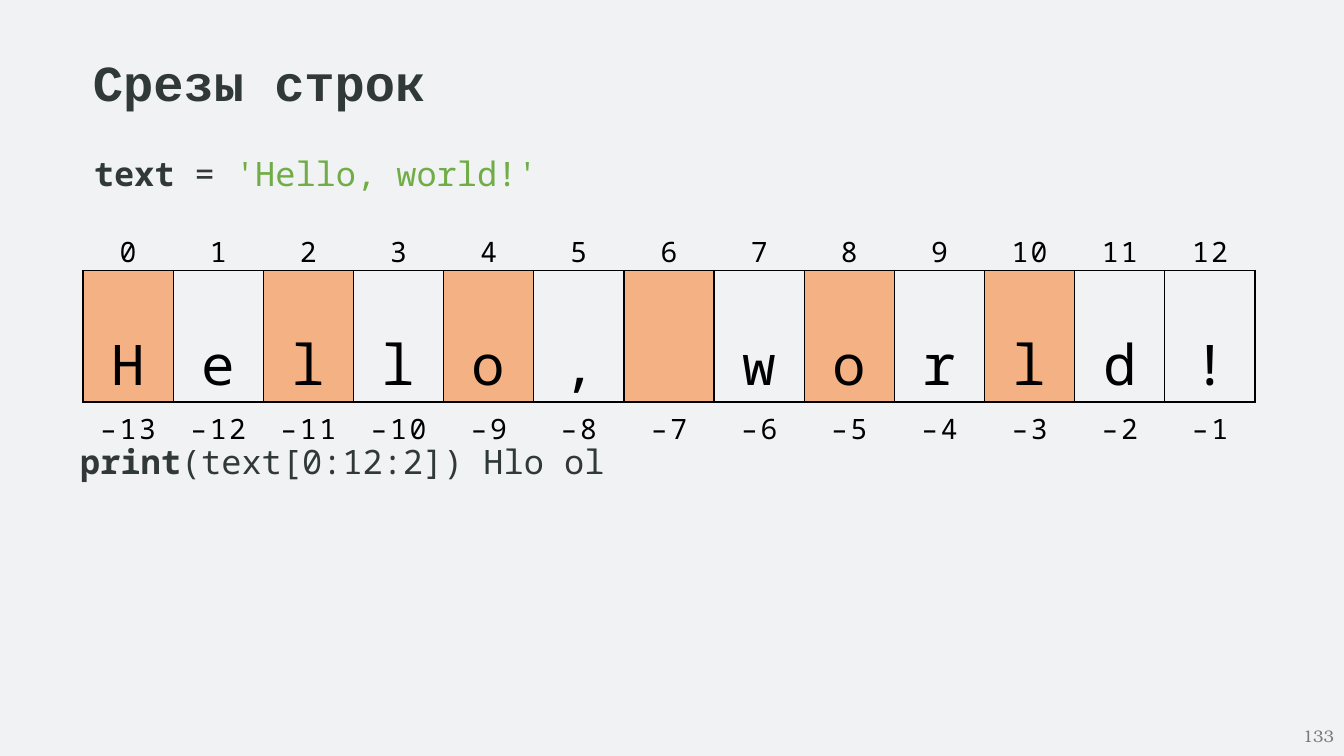
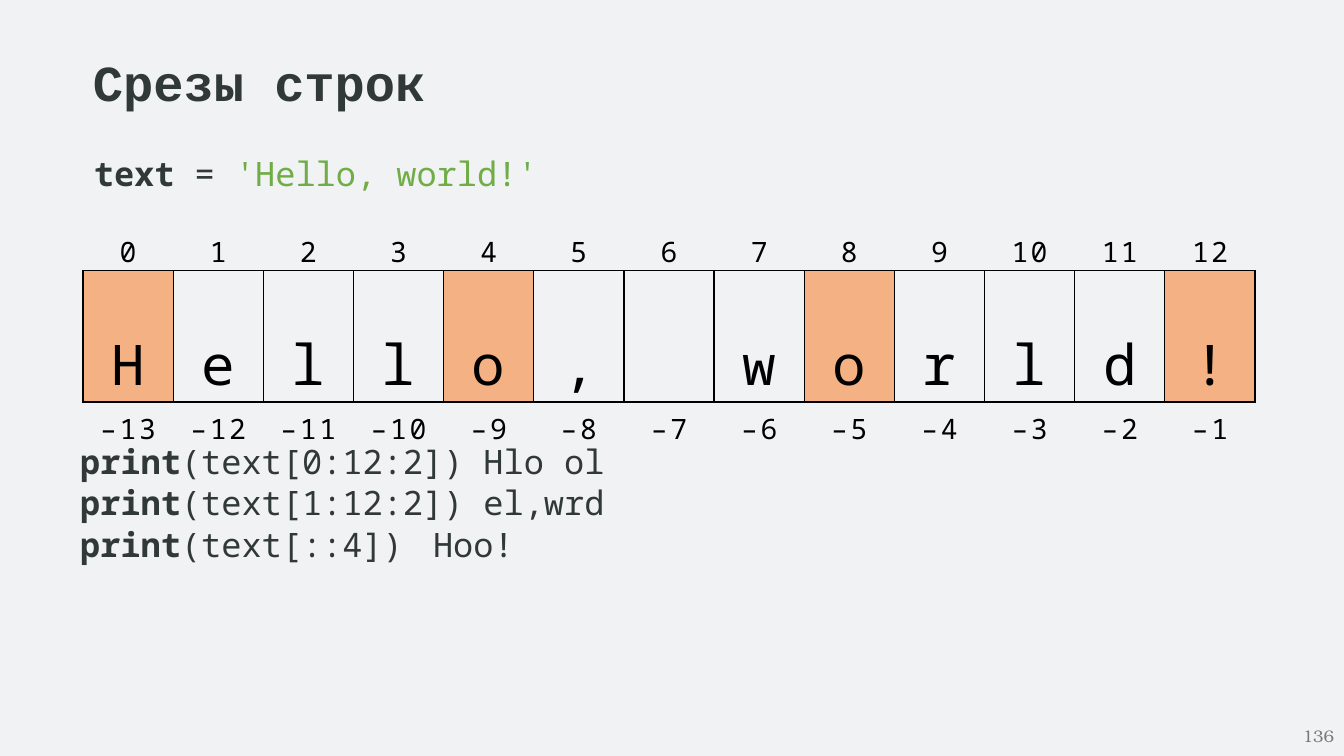
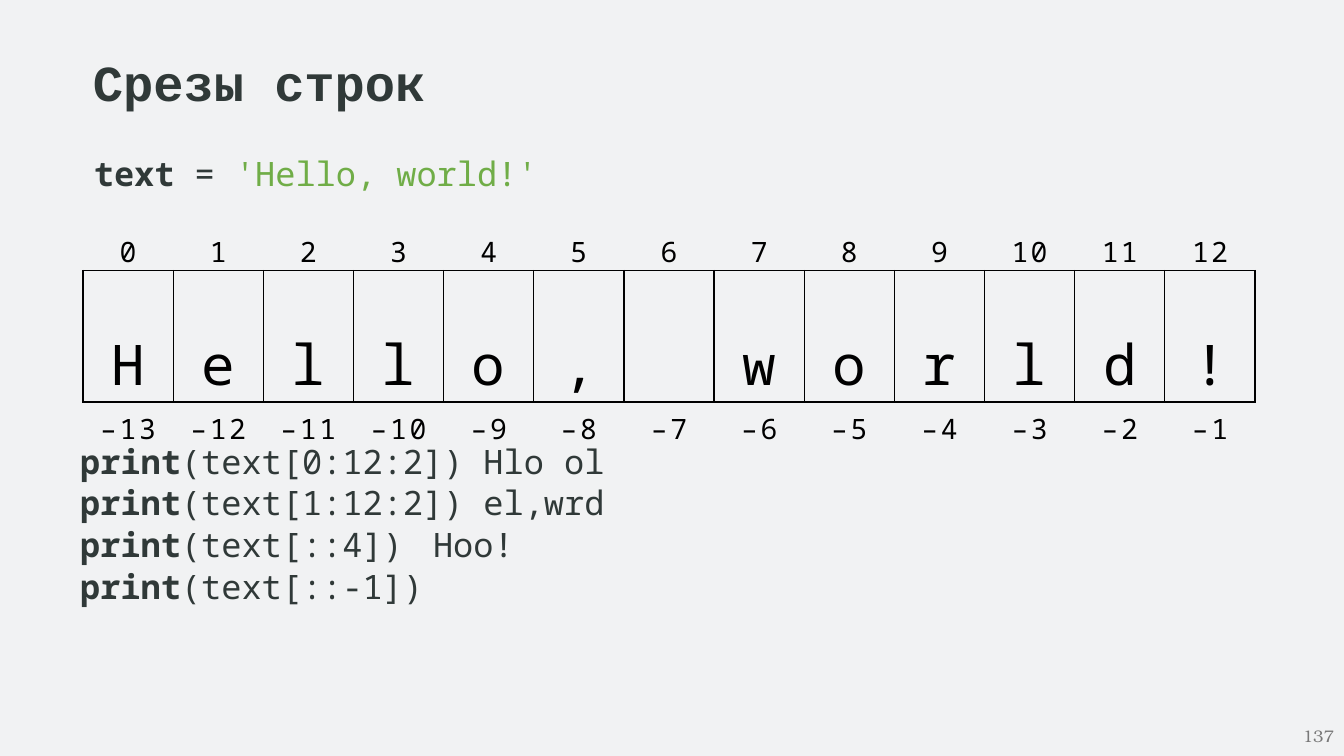
from lxml import etree
from pptx import Presentation
from pptx.dml.color import RGBColor
from pptx.enum.text import MSO_ANCHOR, MSO_AUTO_SIZE, PP_ALIGN
from pptx.oxml.ns import qn
from pptx.util import Emu, Pt

# Shared look
PAPER = RGBColor(0xF1, 0xF2, 0xF3)
INK = RGBColor(0x30, 0x39, 0x38)
BLACK = RGBColor(0x00, 0x00, 0x00)
GREEN = RGBColor(0x70, 0xAD, 0x47)
ORANGE = RGBColor(0xF4, 0xB1, 0x83)
GREY = RGBColor(0x79, 0x79, 0x79)

LEFT, CENTER, RIGHT, JUSTIFY = PP_ALIGN.LEFT, PP_ALIGN.CENTER, PP_ALIGN.RIGHT, PP_ALIGN.JUSTIFY
TOP, MIDDLE = MSO_ANCHOR.TOP, MSO_ANCHOR.MIDDLE
GROW = MSO_AUTO_SIZE.SHAPE_TO_FIT_TEXT

MONO = "Noto Sans Mono"
TITLE = dict(name="Courier New", size=Pt(36), bold=True, color=INK)
CODE = dict(name=MONO, size=Pt(24), bold=False, color=INK)
KEYWORD = dict(CODE, bold=True)
STRING = dict(CODE, color=GREEN)
INDEX = dict(name=MONO, size=Pt(20), color=BLACK)
LETTER = dict(name=MONO, size=Pt(40), color=BLACK)
PAGE = dict(name="TeX Gyre Bonum", size=Pt(12), color=GREY)

# Content
TEXT = "Hello, world!"
EXAMPLES = [("0:12:2", "Hlo ol"), ("1:12:2", "el,wrd"), ("::4", "Hoo!"), ("::-1", "")]
# page number, examples shown, highlighted slice
SLIDES = [(133, 1, slice(0, 12, 2)), (136, 3, slice(None, None, 4)), (137, 4, slice(0))]

COLUMN = 85.9
ROWS = (40, 98, 36)
TAB_STOP = 480


def px(n):
    return Emu(round(n * 9525))


def add_run(p, text, style, spacing=0):
    r = p.add_run()
    r.text = text
    for key, value in style.items():
        if key == "color":
            r.font.color.rgb = value
        else:
            setattr(r.font, key, value)
    if spacing:
        r.font._element.set("spc", str(spacing))


def add_text(s, x, y, w, h, lines, align=LEFT, anchor=TOP, wrap=True):
    """Add a text box; each line is a list of (text, style) runs."""
    tf = s.shapes.add_textbox(px(x), px(y), px(w), px(h)).text_frame
    tf.word_wrap, tf.vertical_anchor = wrap, anchor
    if anchor == TOP:
        tf.auto_size = GROW
    for i, runs in enumerate(lines):
        p = tf.add_paragraph() if i else tf.paragraphs[0]
        p.alignment = align
        if i:
            p.space_before = Pt(0.9)
        for text, style in runs:
            add_run(p, text, style)
    return tf


def indent_code(tf):
    """Give code lines their small indent and the tab stop for results."""
    for p in tf.paragraphs:
        pPr = p._p.get_or_add_pPr()
        pPr.set("marL", str(px(1)))
        pPr.set("indent", "0")
        tabs = etree.SubElement(pPr, qn("a:tabLst"))
        etree.SubElement(tabs, qn("a:tab"), pos=str(px(TAB_STOP)), algn="l")


def set_borders(cell, black_sides):
    """Draw the named sides (of LRTB) in black and clear the others."""
    tcPr = cell._tc.get_or_add_tcPr()
    for side in "LRTB":
        ln = etree.SubElement(tcPr, qn(f"a:ln{side}"), w=str(Pt(1)))
        if side in black_sides:
            fill = etree.SubElement(ln, qn("a:solidFill"))
            etree.SubElement(fill, qn("a:srgbClr"), val=str(BLACK))
        else:
            etree.SubElement(ln, qn("a:noFill"))


def fill_cell(cell, text, style, sides, fill=None, top=0, spacing=0, line=None, before=None):
    cell.margin_left = cell.margin_right = cell.margin_bottom = 0
    cell.margin_top = px(top)
    set_borders(cell, sides)
    if fill is None:
        cell.fill.background()
    else:
        cell.fill.solid()
        cell.fill.fore_color.rgb = fill
    p = cell.text_frame.paragraphs[0]
    p.alignment, p.line_spacing, p.space_before = CENTER, line, before
    if text.strip():
        add_run(p, text, style, spacing)


def add_letter_table(s, highlighted):
    """Letters of the string between their positive and negative indices."""
    count = len(TEXT)
    table = s.shapes.add_table(len(ROWS), count, px(79), px(212),
                               px(COLUMN * count), px(sum(ROWS))).table
    table.first_row = table.horz_banding = False
    for row, height in zip(table.rows, ROWS):
        row.height = px(height)
    marked = range(count)[highlighted]
    for i, letter in enumerate(TEXT):
        table.columns[i].width = px(COLUMN)
        fill_cell(table.cell(0, i), str(i), INDEX, "B",
                  spacing=160 if i > 9 else 0, line=Pt(34.1))
        fill_cell(table.cell(1, i), letter, LETTER, "LRTB",
                  fill=ORANGE if i in marked else None, line=Pt(94))
        fill_cell(table.cell(2, i), f"–{count - i}", INDEX, "T",
                  top=7, spacing=190, before=Pt(5.2))


def add_examples(s, examples):
    lines = []
    for bounds, result in examples:
        call = f"(text[{bounds}])" + (f"\t{result}" if result else "")
        lines.append([("print", KEYWORD), (call, CODE)])
    indent_code(add_text(s, 66, 415, 1146, 89 + 40 * len(lines), lines, JUSTIFY))


def add_slide(prs, number, shown, highlighted):
    s = prs.slides.add_slide(prs.slide_layouts[6])
    # Title and the string being sliced
    add_text(s, 79, 44, 340, 68, [[("Срезы строк", TITLE)]], wrap=False)
    assignment = [("text ", KEYWORD), ("= ", CODE), (f"'{TEXT}'", STRING)]
    indent_code(add_text(s, 79, 141, 1146, 48, [assignment], JUSTIFY))
    # Slices, letters and page number
    add_examples(s, EXAMPLES[:shown])
    add_letter_table(s, highlighted)
    add_text(s, 992, 682, 288, 38, [[(str(number), PAGE)]], RIGHT, MIDDLE)


def main():
    prs = Presentation()
    prs.slide_width, prs.slide_height = px(1280), px(720)
    background = prs.slide_master.background.fill
    background.solid()
    background.fore_color.rgb = PAPER
    for number, shown, highlighted in SLIDES:
        add_slide(prs, number, shown, highlighted)
    prs.save("out.pptx")


if __name__ == "__main__":
    main()
